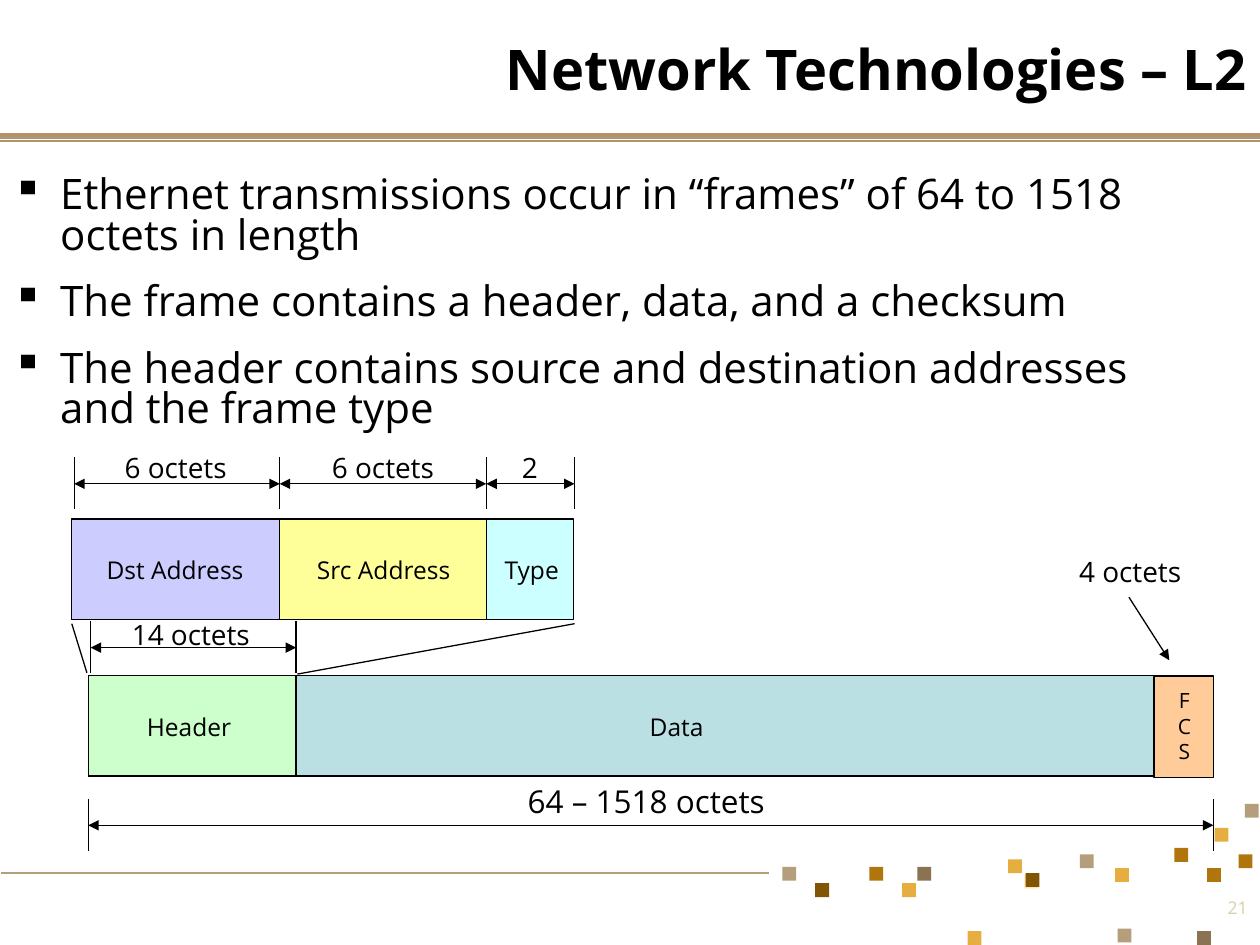
from itertools import pairwise

from lxml.etree import SubElement
from pptx import Presentation
from pptx.dml.color import RGBColor
from pptx.enum.shapes import MSO_CONNECTOR, MSO_SHAPE
from pptx.enum.text import MSO_ANCHOR, PP_ALIGN
from pptx.oxml.ns import qn
from pptx.util import Inches, Pt


def color(text):
    """Turn a hex string into a colour."""
    return RGBColor.from_string(text)


class Deck:
    """Hold the style and the current slide."""

    font = "Open Sans"
    ink = "000000"

    def __init__(self):
        """Start a deck with one blank slide."""
        self.deck = Presentation()
        self.deck.slide_width = Inches(10)
        self.deck.slide_height = Inches(7.5)
        self.slide = self.deck.slides.add_slide(self.deck.slide_layouts[6])

    def rect(self, x, y, wide, high, fill, line=None):
        """Draw a filled rectangle, with an outline if a colour is given."""
        shape = self.slide.shapes.add_shape(
            MSO_SHAPE.RECTANGLE, Inches(x), Inches(y), Inches(wide), Inches(high))
        shape.shadow.inherit = False
        shape.fill.solid()
        shape.fill.fore_color.rgb = color(fill)
        if line:
            shape.line.color.rgb = color(line)
            shape.line.width = Pt(0.75)
        else:
            shape.line.fill.background()

    def line(self, x1, y1, x2, y2, tint=ink, width=0.75, ends=()):
        """Draw a straight line with triangles at the named ends."""
        link = self.slide.shapes.add_connector(
            MSO_CONNECTOR.STRAIGHT, Inches(x1), Inches(y1), Inches(x2), Inches(y2))
        link.line.color.rgb = color(tint)
        link.line.width = Pt(width)
        pen = link.line._get_or_add_ln()
        for end in ends:
            SubElement(pen, qn(f"a:{end}"), type="triangle")
        SubElement(link._element.spPr, qn("a:effectLst"))

    def span(self, x1, x2, y):
        """Draw a double-headed measure arrow."""
        self.line(x1, y, x2, y, ends=("headEnd", "tailEnd"))

    def ticks(self, spots, y):
        """Draw upright end marks at the given places."""
        for x in spots:
            self.line(x, y, x, y + 0.41)

    def text(self, x, y, wide, high, lines, size, align=PP_ALIGN.CENTER,
             anchor=MSO_ANCHOR.MIDDLE, tint=ink, bold=False, mark=None):
        """Write paragraphs in a box, with bullets if a mark is given."""
        box = self.slide.shapes.add_textbox(
            Inches(x), Inches(y), Inches(wide), Inches(high))
        frame = box.text_frame
        frame.word_wrap = True
        frame.vertical_anchor = anchor
        for i, words in enumerate(lines):
            para = frame.add_paragraph() if i else frame.paragraphs[0]
            para.alignment = align
            if mark:
                para.line_spacing = 0.8
                para.space_before = Pt(15 if i else 0)
                props = para._p.get_or_add_pPr()
                props.set("marL", str(Inches(0.38)))
                props.set("indent", str(-Inches(0.38)))
                SubElement(props, qn("a:buChar"), char=mark)
            run = para.add_run()
            run.text = words
            run.font.name = self.font
            run.font.size = Pt(size)
            run.font.bold = bold
            run.font.color.rgb = color(tint)

    def save(self):
        """Save the deck."""
        self.deck.save("out.pptx")


SQUARES = {
    "E6AE41": [(9.64, 6.57), (8.85, 6.89), (7.68, 7.39), (7.16, 7.01), (8, 6.82)],
    "B59E7B": [(8.87, 7.37), (8.57, 6.78), (6.21, 6.88), (9.88, 6.38)],
    "B0760D": [(9.83, 6.78), (9.58, 6.89), (9.32, 6.73), (6.9, 6.88)],
    "FFE3AB": [(8.13, 6.94)],
    "825504": [(6.47, 7.01), (8.14, 6.93)],
    "8A7252": [(7.28, 6.88), (9.5, 7.39)],
}
POINTS = [
    "Ethernet transmissions occur in “frames” of 64 to 1518 octets in length",
    "The frame contains a header, data, and a checksum",
    "The header contains source and destination addresses and the frame type",
]
FRAME = [(0.7, 5.36, 8.93, "BBE0E3"), (0.7, 5.36, 1.65, "CCFFCC"),
         (9.16, 5.37, 0.47, "FFCC99")]
FIELDS = [(0.57, 4.12, 1.65, "CCCCFF"), (2.22, 4.12, 1.65, "FFFF99"),
          (3.86, 4.12, 0.69, "CCFFFF")]
LABELS = [
    (3.93, 6.16, 2.4, 0.4, "64 – 1518 octets", 18),
    (0.89, 5.6, 1.22, 0.34, "Header", 14),
    (4.94, 5.6, 0.86, 0.34, "Data", 14),
    (9.25, 5.41, 0.3, 0.7, "FCS", 12),
    (0.66, 4.35, 1.46, 0.34, "Dst Address", 14),
    (2.35, 4.35, 1.39, 0.34, "Src Address", 14),
    (3.84, 4.35, 0.76, 0.34, "Type", 14),
    (0.81, 3.52, 1.17, 0.37, "6 octets", 16),
    (2.47, 3.52, 1.14, 0.37, "6 octets", 16),
    (3.98, 3.52, 0.45, 0.37, "2", 16),
    (8.33, 4.35, 1.28, 0.37, "4 octets", 16),
    (0.91, 4.85, 1.21, 0.37, "14 octets", 16),
]


def main():
    """Build the slide."""
    deck = Deck()
    deck.line(0, 1.08, 10, 1.08, "B1946C", 3)
    deck.line(0, 1.12, 10, 1.12, "B1946C", 1)
    deck.line(0.01, 6.93, 6.1, 6.93, "B59E7B", 1)
    for fill, spots in SQUARES.items():
        for x, y in spots:
            deck.rect(x, y, 0.11, 0.11, fill)

    deck.text(3.83, 0, 6.17, 1.08, ["Network Technologies – L2"], 32,
              PP_ALIGN.RIGHT, bold=True)
    deck.text(0, 1.36, 9.67, 2.15, POINTS, 24, PP_ALIGN.LEFT,
              MSO_ANCHOR.TOP, mark="▪")

    for x, y, wide, fill in FRAME + FIELDS:
        deck.rect(x, y, wide, 0.8, fill, deck.ink)

    edges = [0.59, 2.22, 3.86, 4.56]
    for spots, y in ((edges, 3.63), ([0.72, 2.35], 4.93), ([0.7, 9.63], 6.34)):
        deck.ticks(spots, y)
        for left, right in pairwise(spots):
            deck.span(left, right, y + 0.21)

    deck.line(0.57, 4.95, 0.69, 5.34)
    deck.line(2.36, 5.35, 4.56, 4.95)
    deck.line(8.96, 4.74, 9.28, 5.24, ends=("tailEnd",))
    for x, y, wide, high, words, size in LABELS:
        deck.text(x, y, wide, high, [words], size)
    deck.text(9.5, 7.07, 0.5, 0.42, ["21"], 10, PP_ALIGN.RIGHT,
              MSO_ANCHOR.TOP, "D9CFAB")
    deck.save()


if __name__ == "__main__":
    main()
